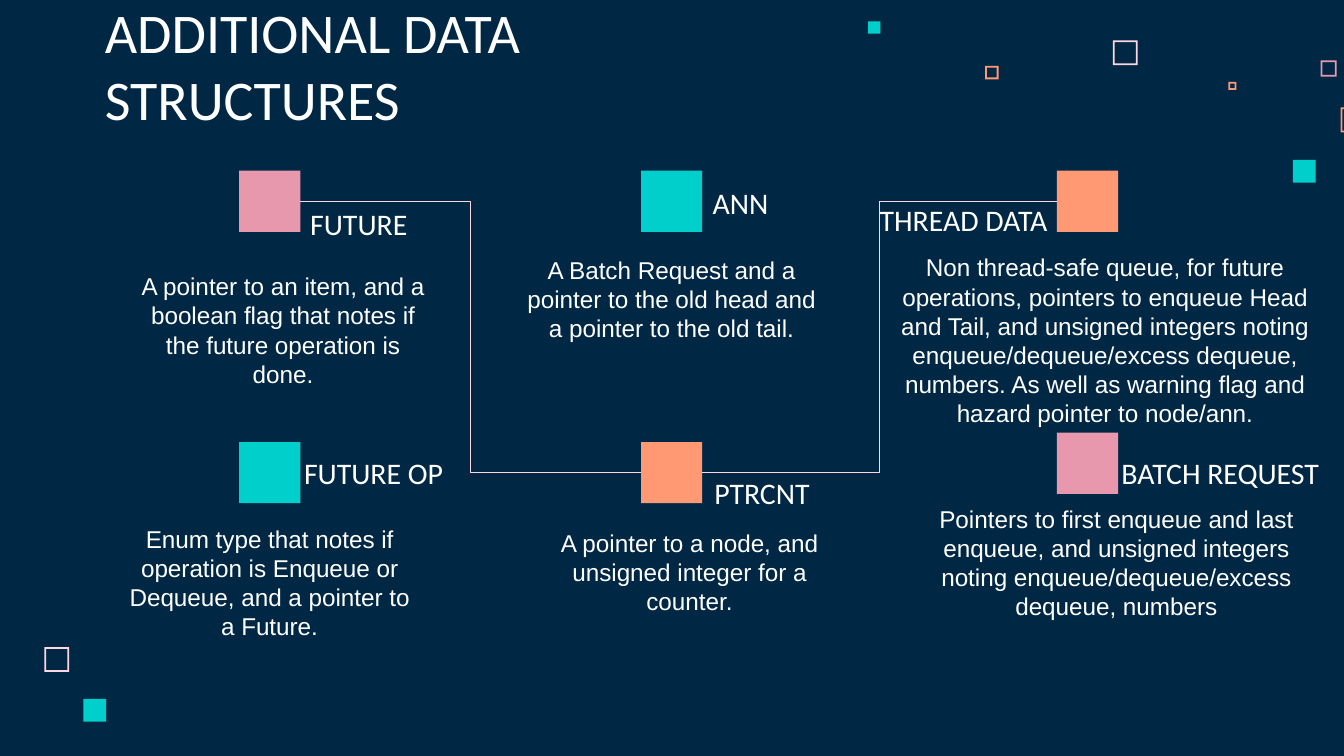
from collections import namedtuple
from lxml.etree import SubElement
from pptx import Presentation
from pptx.dml.color import RGBColor
from pptx.enum.shapes import MSO_CONNECTOR as Link, MSO_SHAPE as Preset
from pptx.enum.text import MSO_ANCHOR as Anchor, PP_ALIGN as Align
from pptx.oxml.ns import qn
from pptx.util import Inches, Pt

COLUMNS, ROWS, CELL = 100, 56.25, 0.1
NAVY, WHITE, TEAL = "002845", "FFFFFF", "00CFCC"
CORAL, ROSE, BLUSH = "FF9973", "E898AC", "FFD6E1"
TILE, BORDER = 4.55, 0.13
TILE_COLUMNS, TILE_ROWS = (17.8, 47.7, 78.65), (12.7, 32.9)
HEADING_SIZE, NOTE_HEIGHT = (20.6, 5), 9

TITLE_FORMAT = {"size": Pt(30), "name": "Calibri", "bold": False}
HEADING_FORMAT = {"size": Pt(16), "name": "Calibri"}
NOTE_FORMAT = {"size": Pt(13), "name": "Arial"}

Structure = namedtuple("Structure", "heading note color tile heading_at note_at note_width")
STRUCTURES = {entry.heading: entry for entry in (
    Structure("FUTURE", "A pointer to an item, and a boolean flag that notes if the "
              "future operation is done.",
              ROSE, (TILE_COLUMNS[0], TILE_ROWS[0]), (16.4, 14), (9, 19.2), 24.1),
    Structure("ANN", "A Batch Request and a pointer to the old head and a pointer "
              "to the old tail.",
              TEAL, (TILE_COLUMNS[1], TILE_ROWS[0]), (44.8, 12.4), (37.9, 18), 24.1),
    Structure("THREAD DATA", "Non thread-safe queue, for future operations, pointers to "
              "enqueue Head and Tail, and unsigned integers noting "
              "enqueue/dequeue/excess dequeue, numbers. As well as warning flag and "
              "hazard pointer to node/ann.",
              CORAL, (TILE_COLUMNS[2], TILE_ROWS[0]), (61.4, 13.7), (65.4, 17.8), 33.6),
    Structure("FUTURE OP", "Enum type that notes if operation is Enqueue or Dequeue, "
              "and a pointer to a Future.",
              TEAL, (TILE_COLUMNS[0], TILE_ROWS[1]), (17.5, 32.5), (8, 38), 24.1),
    Structure("PTRCNT", "A pointer to a node, and unsigned integer for a counter.",
              CORAL, (TILE_COLUMNS[1], TILE_ROWS[1]), (46.4, 34), (40, 38.3), 22.6),
    Structure("BATCH REQUEST", "Pointers to first enqueue and last enqueue, and unsigned "
              "integers noting enqueue/dequeue/excess dequeue, numbers",
              ROSE, (TILE_COLUMNS[2], 32.2), (80.5, 32.5), (67, 36.5), 32.1),
)}
LINKS = (("FUTURE", "PTRCNT"), ("PTRCNT", "THREAD DATA"))

HOLLOW_CONFETTI = (
    (82.8, 3, 1.85, BLUSH), (98.25, 4.5, 1.2, ROSE), (91.4, 6.1, 0.6, CORAL),
    (99.75, 8, 1.85, CORAL), (73.3, 4.9, 1, CORAL), (3.3, 48.15, 1.85, BLUSH),
)
SOLID_CONFETTI = ((96.2, 11.9, 1.7, TEAL), (64.6, 1.6, 0.9, TEAL), (6.2, 52, 1.7, TEAL))


def color(hex_code):
    """Turn a hex string into a colour."""
    return RGBColor.from_string(hex_code)


def cells(*counts):
    """Turn counts of grid cells into lengths."""
    return [Inches(count * CELL) for count in counts]


def add_square(slide, column, row, side, hex_code, hollow=False):
    """Draw a solid square or a thin square frame."""
    square = slide.shapes.add_shape(Preset.FRAME if hollow else Preset.RECTANGLE,
                                    *cells(column, row, side, side))
    square.shadow.inherit = False
    square.fill.solid()
    square.fill.fore_color.rgb = color(hex_code)
    square.line.fill.background()
    if hollow:
        square.adjustments[0] = BORDER / side
    return square


def write(box, wording, font_format, anchor, align):
    """Fill a box with one white paragraph."""
    frame = box.text_frame
    frame.text = wording
    inset = Inches(0.1)
    frame_format = {"word_wrap": True, "vertical_anchor": anchor, "margin_left": inset,
                    "margin_right": inset, "margin_top": inset, "margin_bottom": inset}
    paragraph = frame.paragraphs[0]
    paragraph_format = {"alignment": align, "line_spacing": 1.0}
    for target, values in ((frame, frame_format), (paragraph, paragraph_format),
                           (paragraph.font, font_format)):
        for key, value in values.items():
            setattr(target, key, value)
    paragraph.font.color.rgb = color(WHITE)


def add_title(slide, wording):
    """Place the slide title in its placeholder."""
    title = slide.shapes.title
    title.left, title.top, title.width, title.height = cells(6.8, 4.5, 51.7, 6.3)
    write(title, wording, TITLE_FORMAT, Anchor.BOTTOM, Align.LEFT)


def add_structure_text(slide, entry):
    """Write the heading and the note of one data structure."""
    heading = slide.shapes.add_textbox(*cells(*entry.heading_at, *HEADING_SIZE))
    write(heading, entry.heading, HEADING_FORMAT, Anchor.BOTTOM, Align.CENTER)
    note = slide.shapes.add_textbox(*cells(*entry.note_at, entry.note_width, NOTE_HEIGHT))
    write(note, entry.note, NOTE_FORMAT, Anchor.TOP, Align.CENTER)


def add_link(slide, source, target):
    """Join the right side of one tile to the left side of another."""
    link = slide.shapes.add_connector(Link.ELBOW, 0, 0, 0, 0)
    link.begin_connect(source, 3)
    link.end_connect(target, 1)
    link.line.color.rgb = color(BLUSH)
    link.line.width = Pt(0.75)
    SubElement(link._element.spPr, qn("a:effectLst"))


def main():
    """Build the slide and save it."""
    deck = Presentation()
    deck.slide_width, deck.slide_height = cells(COLUMNS, ROWS)
    slide = deck.slides.add_slide(deck.slide_layouts.get_by_name("Title Only"))
    slide.background.fill.solid()
    slide.background.fill.fore_color.rgb = color(NAVY)

    for piece in HOLLOW_CONFETTI:
        add_square(slide, *piece, hollow=True)
    for piece in SOLID_CONFETTI:
        add_square(slide, *piece)
    add_title(slide, "ADDITIONAL DATA STRUCTURES")
    for entry in STRUCTURES.values():
        add_structure_text(slide, entry)
    tiles = {heading: add_square(slide, *entry.tile, TILE, entry.color)
             for heading, entry in STRUCTURES.items()}
    for source, target in LINKS:
        add_link(slide, tiles[source], tiles[target])
    deck.save("out.pptx")


if __name__ == "__main__":
    main()
